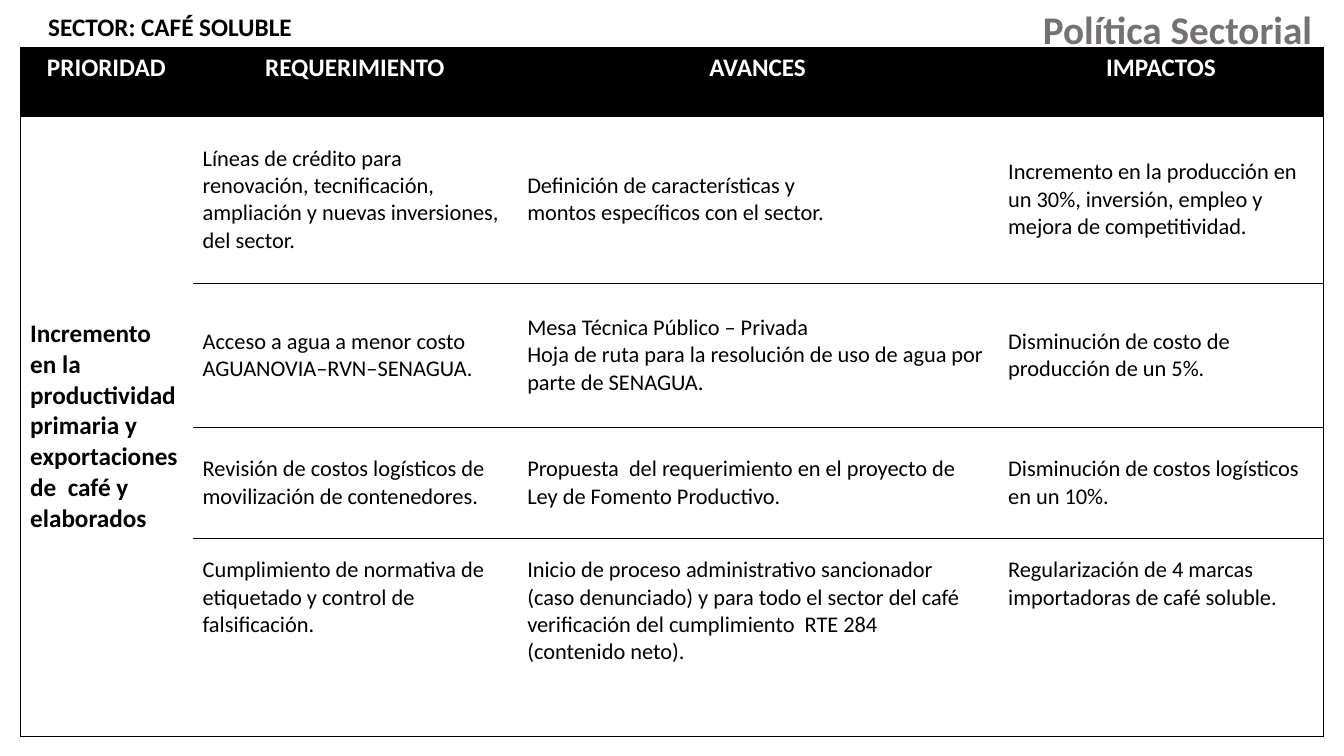
from lxml import etree
from pptx import Presentation
from pptx import util as u
from pptx.dml.color import RGBColor
from pptx.enum import text
from pptx.oxml.ns import qn

TITLE = "Política Sectorial "
SECTOR = "SECTOR: CAFÉ SOLUBLE"
HEADERS = ["PRIORIDAD", "REQUERIMIENTO", "AVANCES", "IMPACTOS"]
PRIORITY = ("Incremento en la productividad primaria y exportaciones "
            "de  café y elaborados")
# Requirement, progress, impact; each line break starts a paragraph
ROWS = [
    ("Líneas de crédito para renovación, tecnificación, ampliación y "
     "nuevas inversiones, del sector.",
     "Definición de características y\nmontos específicos con el sector.",
     "Incremento en la producción en un 30%, inversión, empleo y mejora "
     "de competitividad."),
    ("Acceso a agua a menor costo AGUANOVIA–RVN–SENAGUA.",
     "Mesa Técnica Público – Privada\n"
     "Hoja de ruta para la resolución de uso de agua por\nparte de SENAGUA.",
     "Disminución de costo de producción de un 5%."),
    ("Revisión de costos logísticos de movilización de contenedores.",
     "Propuesta  del requerimiento en el proyecto de\n"
     "Ley de Fomento Productivo.",
     "Disminución de costos logísticos en un 10%."),
    ("Cumplimiento de normativa de etiquetado y control de falsificación.",
     "Inicio de proceso administrativo sancionador\n"
     "(caso denunciado) y para todo el sector del café\n"
     "verificación del cumplimiento  RTE 284\n(contenido neto).",
     "Regularización de 4 marcas importadoras de café soluble."),
]
COL_WIDTHS = [1.71, 3.22, 4.77, 3.23]
ROW_HEIGHTS = [0.68, 1.66, 1.43, 1.1, 1.97]
BLACK, WHITE, GREY = "000000", "FFFFFF", "767171"
NO_GRID_STYLE = "{2D5ABB26-0587-4C30-8999-92F81FD0307C}"


def color(value):
    return RGBColor.from_string(value)


def write(tf, content, size, hue, bold=False, align=text.PP_ALIGN.LEFT):
    for i, line in enumerate(content.split("\n")):
        p = tf.paragraphs[0] if i == 0 else tf.add_paragraph()
        p.alignment = align
        r = p.add_run()
        r.text = line
        r.font.name = "Calibri"
        r.font.size = u.Pt(size)
        r.font.bold = bold
        r.font.color.rgb = color(hue)


def set_borders(cell, sides):
    tc_pr = cell._tc.get_or_add_tcPr()
    for side in sides:
        ln = etree.SubElement(tc_pr, qn("a:ln" + side), w=str(u.Pt(0.5)))
        fill = etree.SubElement(ln, qn("a:solidFill"))
        etree.SubElement(fill, qn("a:srgbClr"), val=BLACK)


def place(sp, left, top, width, height):
    sp.left, sp.top = u.Inches(left), u.Inches(top)
    sp.width, sp.height = u.Inches(width), u.Inches(height)


prs = Presentation()
prs.slide_width, prs.slide_height = u.Inches(13.33), u.Inches(7.5)
s = prs.slides.add_slide(prs.slide_layouts[5])

# Title
title = s.shapes.title
place(title, 8.89, 0, 4.31, 0.57)
title.text_frame.vertical_anchor = text.MSO_ANCHOR.TOP
title.text_frame.auto_size = text.MSO_AUTO_SIZE.NONE
write(title.text_frame, TITLE, 28, GREY, True, text.PP_ALIGN.RIGHT)

# Table grid
frame = s.shapes.add_table(len(ROW_HEIGHTS), len(COL_WIDTHS), u.Inches(0.2),
                           u.Inches(0.47), u.Inches(sum(COL_WIDTHS)),
                           u.Inches(sum(ROW_HEIGHTS)))
table = frame.table
table._tbl.tblPr.find(qn("a:tableStyleId")).text = NO_GRID_STYLE
for col, width in zip(table.columns, COL_WIDTHS):
    col.width = u.Inches(width)
for row, height in zip(table.rows, ROW_HEIGHTS):
    row.height = u.Inches(height)
last_row, last_col = len(ROW_HEIGHTS) - 1, len(COL_WIDTHS) - 1
table.cell(1, 0).merge(table.cell(last_row, 0))

# Borders and fills: the priority column has no inner rules
for i in range(last_row + 1):
    for j in range(last_col + 1):
        cell = table.cell(i, j)
        sides = "L" if j == 0 else "R" if j == last_col else ""
        if j > 0 or i <= 1:
            sides += "T"
        if j > 0 or i in (0, 1, last_row):
            sides += "B"
        set_borders(cell, sides)
        cell.fill.solid()
        cell.fill.fore_color.rgb = color(BLACK if i == 0 else WHITE)

# Table text
for j, header in enumerate(HEADERS):
    write(table.cell(0, j).text_frame, header, 18, WHITE, True,
          text.PP_ALIGN.CENTER)
priority = table.cell(1, 0)
priority.vertical_anchor = text.MSO_ANCHOR.MIDDLE
write(priority.text_frame, PRIORITY, 18, BLACK, True)
for i, row in enumerate(ROWS, 1):
    for j, content in enumerate(row, 1):
        cell = table.cell(i, j)
        if i == last_row:
            cell.vertical_anchor = text.MSO_ANCHOR.TOP
            cell.margin_top = u.Inches(0.18)
        else:
            cell.vertical_anchor = text.MSO_ANCHOR.MIDDLE
        write(cell.text_frame, content, 16, BLACK)

# Sector label
label = s.shapes.add_textbox(0, 0, 0, 0)
place(label, 0.38, 0.06, 3.01, 0.4)
label.text_frame.word_wrap = True
write(label.text_frame, SECTOR, 18, BLACK, True)

prs.save("out.pptx")
